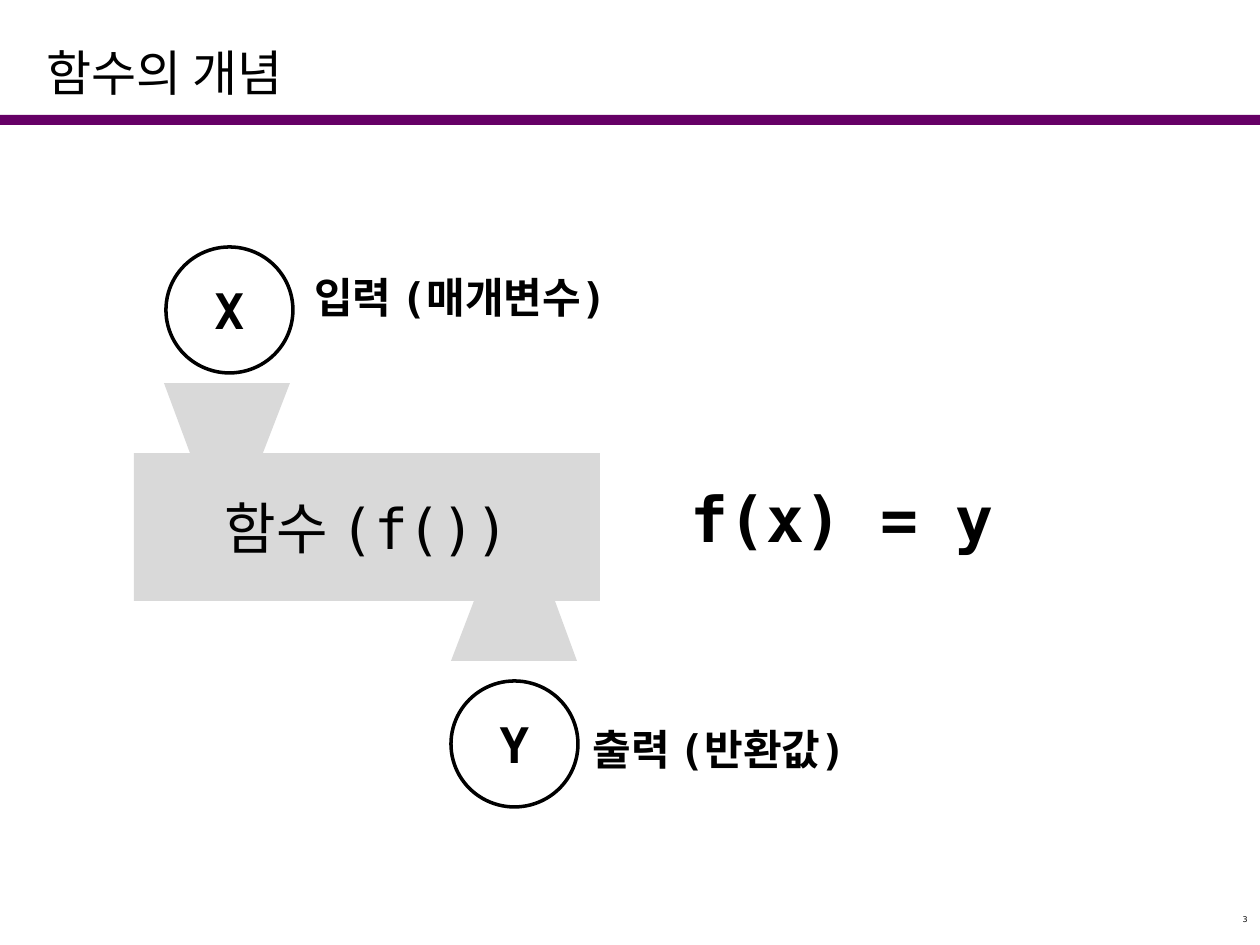
"""Build the slide that explains the concept of a function."""
from lxml import etree
from pptx import Presentation
from pptx.dml.color import RGBColor
from pptx.enum.shapes import MSO_SHAPE as SHAPE
from pptx.enum.text import MSO_ANCHOR as ANCHOR, PP_ALIGN as ALIGN
from pptx.oxml.ns import qn
from pptx.util import Pt

PX = 914400 / 126
MONO, KOREAN = "DejaVu Sans Mono", "Noto Sans CJK KR"
GRAY, BLACK, PURPLE = "D9D9D9", "000000", "660066"


def write(shape, text, size, bold=False, font=MONO, align=ALIGN.LEFT,
          anchor=ANCHOR.TOP, wrap=True):
    tf = shape.text_frame
    tf.word_wrap, tf.vertical_anchor = wrap, anchor
    p = tf.paragraphs[0]
    p.alignment = align
    r = p.add_run()
    r.text = text
    for name, value in {"name": font, "size": Pt(size), "bold": bold}.items():
        setattr(r.font, name, value)
    r.font.color.rgb = RGBColor.from_string(BLACK)
    etree.SubElement(r.font._element, qn("a:ea"), typeface=KOREAN)
    return p


def paint(shape, fill=None, line=None):
    shape.shadow.inherit = False
    if fill:
        shape.fill.solid()
        shape.fill.fore_color.rgb = RGBColor.from_string(fill)
    else:
        shape.fill.background()
    if line:
        shape.line.color.rgb = RGBColor.from_string(line)
        shape.line.width = Pt(2)
    else:
        shape.line.fill.background()


prs = Presentation()
prs.slide_width, prs.slide_height = int(1260 * PX), int(945 * PX)
s = prs.slides.add_slide(prs.slide_layouts[5])

title = s.shapes.title
place = {"left": 34, "top": 35, "width": 1131, "height": 73}
for name, value in place.items():
    setattr(title, name, int(value * PX))
write(title, "함수의 개념", 28, font=KOREAN, anchor=ANCHOR.MIDDLE)

bar = s.shapes.add_shape(SHAPE.RECTANGLE, *[int(v * PX) for v in (0, 115, 1260, 10)])
paint(bar, PURPLE)

box = s.shapes.add_shape(SHAPE.RECTANGLE, *[int(v * PX) for v in (134, 453, 466, 148)])
paint(box, GRAY)
write(box, "함수 (f())", 32, align=ALIGN.CENTER, anchor=ANCHOR.MIDDLE)

funnels = [
    [(451, 661), (474, 601), (555, 601), (577, 661)],
    [(164, 383), (190, 453), (263, 453), (290, 383)],
]
for start, *points in funnels:
    builder = s.shapes.build_freeform(*start, scale=PX)
    builder.add_line_segments(points, close=True)
    paint(builder.convert_to_shape(), GRAY)

for text, x, y in [("X", 166, 247), ("Y", 451, 681)]:
    circle = s.shapes.add_shape(SHAPE.OVAL, *[int(v * PX) for v in (x, y, 127, 126)])
    paint(circle, line=BLACK)
    write(circle, text, 28, True, align=ALIGN.CENTER, anchor=ANCHOR.MIDDLE)

labels = [
    ("f(x) = y", 36, False, (678, 473, 329, 88)),
    ("입력 (매개변수)", 24, True, (302, 265, 377, 63)),
    ("출력 (반환값)", 24, True, (580, 717, 446, 63)),
]
for text, size, wrap, at in labels:
    label = s.shapes.add_textbox(*[int(v * PX) for v in at])
    write(label, text, size, True, wrap=wrap)

number = s.shapes.add_textbox(*[int(v * PX) for v in (966, 910, 294, 26)])
p = write(number, "3", 4.5, font="DejaVu Sans", align=ALIGN.RIGHT)
p.line_spacing = 0.8

prs.save("out.pptx")
